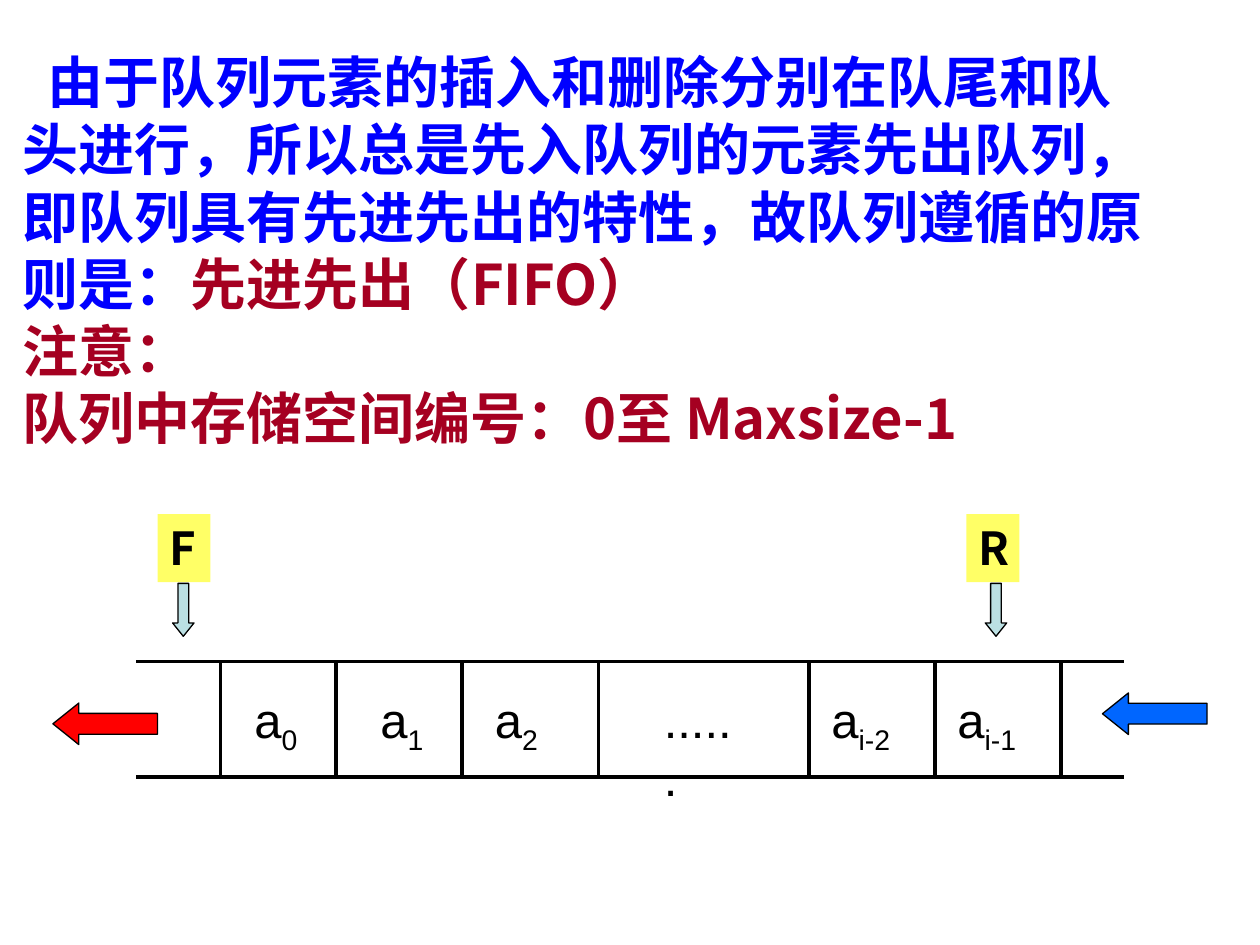
"""Build a slide explaining the first-in, first-out rule of a queue."""
import lxml.etree
import pptx
import pptx.dml.color
import pptx.enum.shapes
import pptx.enum.text
import pptx.oxml.ns
import pptx.util

Inches = pptx.util.Inches
SHAPES = pptx.enum.shapes.MSO_SHAPE
COLORS = {
    "black": "000000", "blue": "0000FF", "crimson": "A50021", "red": "FF0000",
    "azure": "0066FF", "yellow": "FFFF66", "pale": "BBE0E3",
}
STATEMENT = [
    [("由于队列元素的插入和删除分别在队尾和队", "blue")],
    [("头进行，所以总是先入队列的元素先出队列，", "blue")],
    [("即队列具有先进先出的特性，故队列遵循的原", "blue")],
    [("则是：", "blue"), ("先进先出（FIFO）", "crimson")],
    [("注意：", "crimson")],
    [("队列中存储空间编号：0至 Maxsize-1", "crimson")],
]
ELEMENTS = [
    ("a", "0", 1.92, 0.67), ("a", "1", 2.92, 0.67), ("a", "2", 3.83, 0.67),
    ("......", "", 5.17, 0.83), ("a", "i-2", 6.5, 0.92), ("a", "i-1", 7.5, 0.92),
]
FLOW_ARROWS = [(0.42, 5.58, "red"), (8.75, 5.5, "azure")]
POINTERS = [("F", 1.25, 1.37), ("R", 7.67, 7.82)]
DIVIDERS = [1.75, 2.67, 3.67, 4.75, 6.42, 7.42, 8.42]
QUEUE_LEFT, QUEUE_RIGHT, QUEUE_TOP, QUEUE_BOTTOM = 1.08, 8.92, 5.25, 6.17
HEADING = {"size": pptx.util.Pt(32), "name": "Noto Sans CJK SC", "bold": True}
LABEL = {**HEADING, "size": pptx.util.Pt(26)}
ELEMENT = {"size": pptx.util.Pt(28), "name": "Arial", "bold": False}


def rgb(color):
    return pptx.dml.color.RGBColor.from_string(COLORS[color])


def add_run(paragraph, text, style, color="black"):
    run = paragraph.add_run()
    run.text = text
    for attribute, value in style.items():
        setattr(run.font, attribute, value)
    run.font.color.rgb = rgb(color)
    east_asian = lxml.etree.SubElement(run.font._element, pptx.oxml.ns.qn("a:ea"))
    east_asian.set("typeface", style["name"])
    return run


def add_text_box(shapes, *box):
    frame = shapes.add_textbox(*map(Inches, box)).text_frame
    frame.word_wrap = True
    return frame


def add_filled(shapes, kind, box, color, outlined=True):
    shape = shapes.add_shape(kind, *map(Inches, box))
    shape.shadow.inherit = False
    shape.fill.solid()
    shape.fill.fore_color.rgb = rgb(color)
    if outlined:
        shape.line.color.rgb = rgb("black")
        shape.line.width = pptx.util.Pt(0.75)
        shape.adjustments[1] = 0.625
    else:
        shape.line.fill.background()
    return shape


def add_line(shapes, *ends):
    line = shapes.add_connector(
        pptx.enum.shapes.MSO_CONNECTOR.STRAIGHT, *map(Inches, ends))
    line.line.color.rgb = rgb("black")
    line.line.width = pptx.util.Pt(2.25)
    lxml.etree.SubElement(line._element.spPr, pptx.oxml.ns.qn("a:effectLst"))


def add_statement(shapes):
    frame = add_text_box(shapes, 0.08, 0.33, 9.67, 3.3)
    frame.vertical_anchor = pptx.enum.text.MSO_ANCHOR.MIDDLE
    for index, runs in enumerate(STATEMENT):
        paragraph = frame.add_paragraph() if index else frame.paragraphs[0]
        for text, color in runs:
            add_run(paragraph, text, HEADING, color)
    properties = frame.paragraphs[0]._p.get_or_add_pPr()
    properties.set("marL", "0")
    properties.set("indent", str(Inches(0.2)))


def add_queue(shapes):
    for left, top, color in FLOW_ARROWS:
        add_filled(shapes, SHAPES.LEFT_ARROW, (left, top, 0.83, 0.33), color)
    for text, subscript, left, width in ELEMENTS:
        height = 0.63 if subscript else 1.04
        paragraph = add_text_box(shapes, left, 5.42, width, height).paragraphs[0]
        add_run(paragraph, text, ELEMENT)
        if subscript:
            run = add_run(paragraph, subscript, ELEMENT)
            run.font._element.set("baseline", "-25000")
    grid = shapes.add_group_shape().shapes
    for y in (QUEUE_TOP, QUEUE_BOTTOM):
        add_line(grid, QUEUE_LEFT, y, QUEUE_RIGHT, y)
    for x in DIVIDERS:
        add_line(grid, x, QUEUE_TOP, x, QUEUE_BOTTOM)


def add_pointers(shapes):
    for text, left, arrow_left in POINTERS:
        pointer = shapes.add_group_shape().shapes
        label = add_filled(
            pointer, SHAPES.RECTANGLE, (left, 4.08, 0.42, 0.54), "yellow", False)
        frame = label.text_frame
        frame.word_wrap = True
        frame.vertical_anchor = pptx.enum.text.MSO_ANCHOR.TOP
        frame.paragraphs[0].alignment = pptx.enum.text.PP_ALIGN.LEFT
        add_run(frame.paragraphs[0], text, LABEL)
        add_filled(pointer, SHAPES.DOWN_ARROW, (arrow_left, 4.63, 0.17, 0.42), "pale")


def main():
    presentation = pptx.Presentation()
    presentation.slide_width = Inches(10)
    presentation.slide_height = Inches(7.5)
    slide = presentation.slides.add_slide(presentation.slide_layouts[6])
    add_statement(slide.shapes)
    add_queue(slide.shapes)
    add_pointers(slide.shapes)
    presentation.save("out.pptx")


if __name__ == "__main__":
    main()
